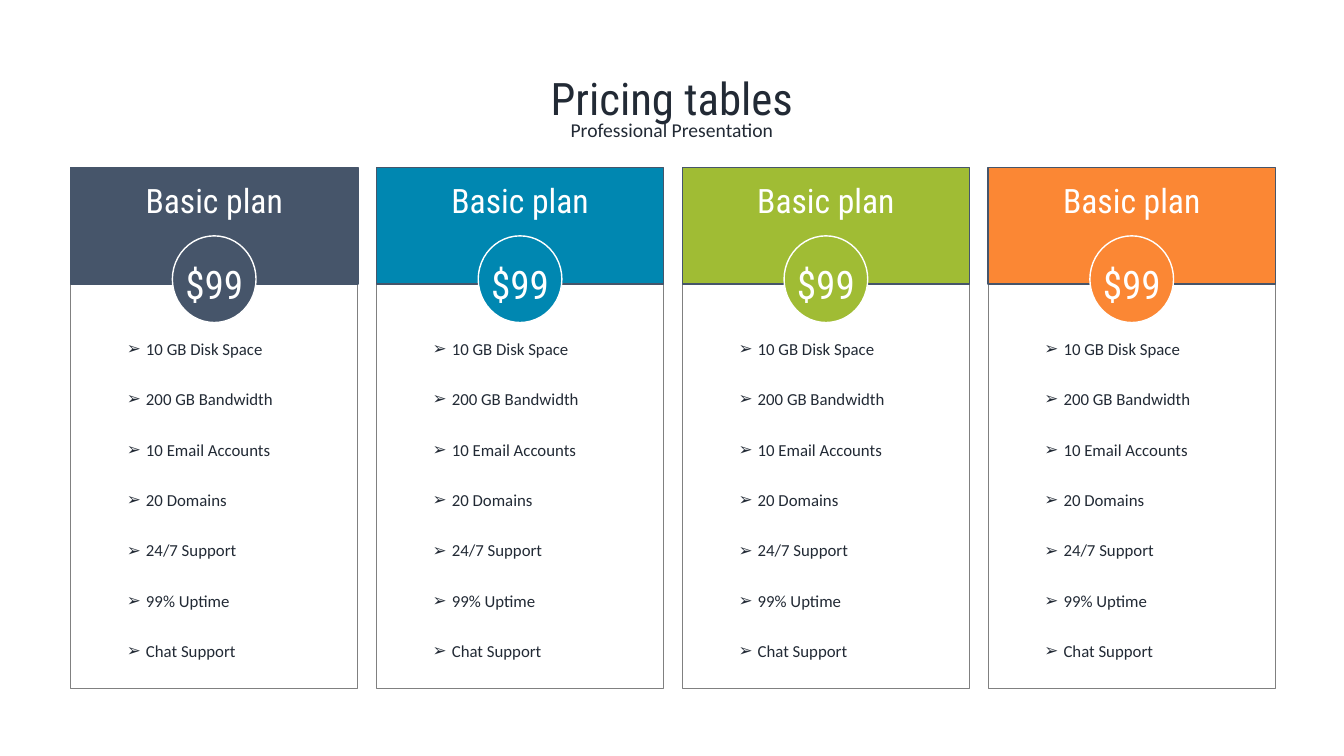
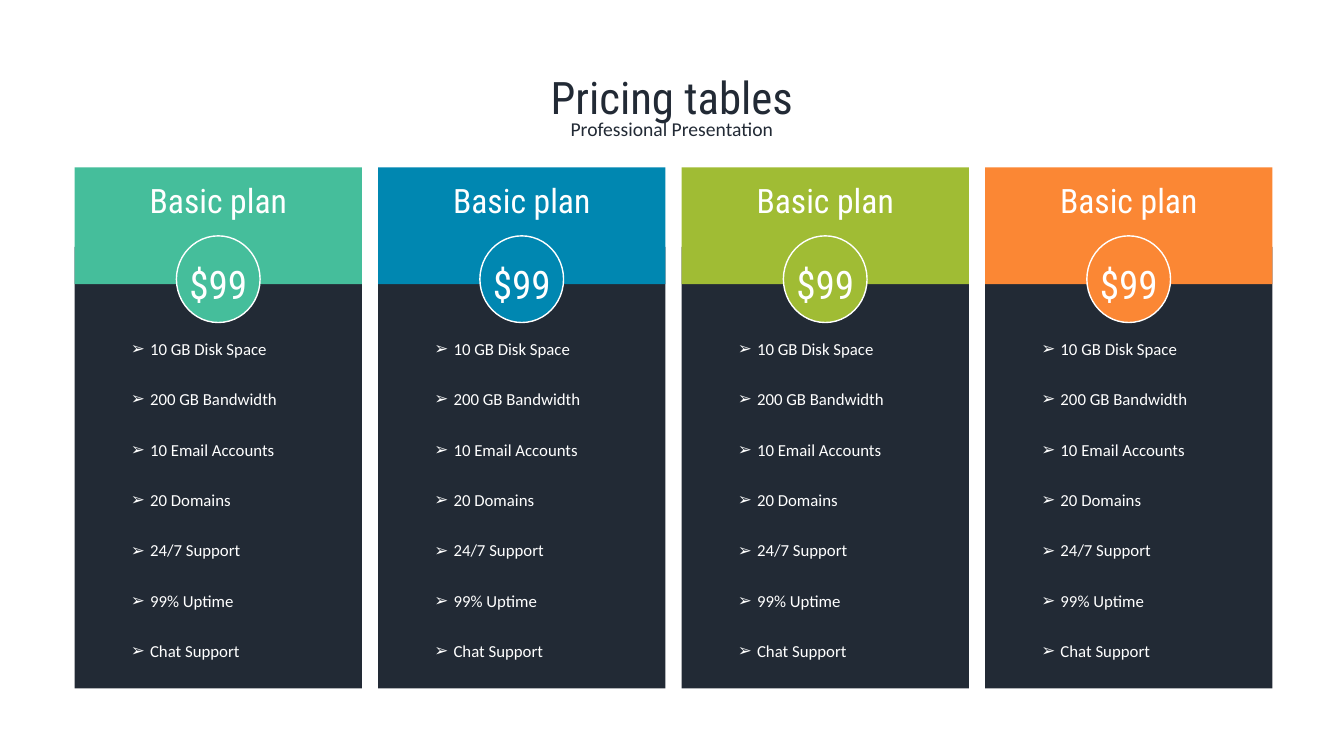
"""Build two pricing table slides, one with outlined cards and one with dark cards."""
from dataclasses import dataclass
from typing import Optional

import pptx
import pptx.dml.color
import pptx.enum.shapes
import pptx.enum.text
import pptx.oxml.ns
import pptx.util
from lxml import etree
from pptx.util import Inches

COLORS = {
    "dark": "222A35",
    "white": "FFFFFF",
    "slate": "46556A",
    "green": "45BE9B",
    "blue": "0087B1",
    "lime": "A0BC34",
    "orange": "FB8734",
    "gray": "808080",
}
HEADING_FONT = "Roboto Condensed"
BODY_FONT = "Calibri"
FEATURES = [
    "10 GB Disk Space",
    "200 GB Bandwidth",
    "10 Email Accounts",
    "20 Domains",
    "24/7 Support",
    "99% Uptime",
    "Chat Support",
]
CARD_WIDTH = 2.85
RECTANGLE = pptx.enum.shapes.MSO_SHAPE.RECTANGLE
OVAL = pptx.enum.shapes.MSO_SHAPE.OVAL


@dataclass(frozen=True)
class Box:
    left: float
    top: float
    width: float
    height: float

    def lengths(self) -> list[int]:
        return [Inches(value) for value in (self.left, self.top, self.width, self.height)]


@dataclass(frozen=True)
class TextStyle:
    font: str
    size: int
    color: str
    centered: bool = True


@dataclass(frozen=True)
class Outline:
    color: str
    width: float


@dataclass(frozen=True)
class PricingDesign:
    title_top: float
    first_left: float
    last_left: float
    card_colors: tuple[str, ...]
    panel_fill: Optional[str]
    panel_outline: Optional[Outline]
    header_outline: Optional[Outline]
    feature_color: str


DESIGNS = [
    PricingDesign(0.65, 0.7, 9.8, ("slate", "blue", "lime", "orange"),
                  None, Outline("gray", 0), Outline("slate", 1), "dark"),
    PricingDesign(0.64, 0.74, 9.77, ("green", "blue", "lime", "orange"),
                  "dark", None, None, "white"),
]


def rgb(name: str) -> pptx.dml.color.RGBColor:
    return pptx.dml.color.RGBColor.from_string(COLORS[name])


def write_text(shape, lines: list[str], style: TextStyle) -> None:
    frame = shape.text_frame
    frame.text = "\n".join(lines)
    frame.word_wrap = True
    frame.vertical_anchor = pptx.enum.text.MSO_ANCHOR.TOP
    frame.auto_size = pptx.enum.text.MSO_AUTO_SIZE.SHAPE_TO_FIT_TEXT
    alignment = pptx.enum.text.PP_ALIGN
    for paragraph in frame.paragraphs:
        paragraph.alignment = alignment.CENTER if style.centered else alignment.LEFT
        for run in paragraph.runs:
            run.font.name = style.font
            run.font.size = pptx.util.Pt(style.size)
            run.font.color.rgb = rgb(style.color)


def add_text(shapes, box: Box, lines: list[str], style: TextStyle):
    text_box = shapes.add_textbox(*box.lengths())
    write_text(text_box, lines, style)
    return text_box


def add_block(shapes, kind, box: Box, fill: Optional[str], outline: Optional[Outline]) -> None:
    shape = shapes.add_shape(kind, *box.lengths())
    shape.shadow.inherit = False
    if fill:
        shape.fill.solid()
        shape.fill.fore_color.rgb = rgb(fill)
    else:
        shape.fill.background()
    if outline:
        shape.line.color.rgb = rgb(outline.color)
        shape.line.width = pptx.util.Pt(outline.width)
    else:
        shape.line.fill.background()


def add_features(shapes, box: Box, color: str) -> None:
    text_box = add_text(shapes, box, FEATURES, TextStyle(BODY_FONT, 12, color, centered=False))
    for paragraph in text_box.text_frame.paragraphs:
        properties = paragraph._p.get_or_add_pPr()
        properties.set("marL", str(Inches(0.19)))
        properties.set("indent", str(-Inches(0.19)))
        etree.SubElement(properties, pptx.oxml.ns.qn("a:buFont"), typeface="Arial")
        etree.SubElement(properties, pptx.oxml.ns.qn("a:buChar"), char="➢")
        paragraph.line_spacing = 2.5


def add_card(slide, left: float, color: str, design: PricingDesign) -> None:
    shapes = slide.shapes.add_group_shape().shapes

    def centered_box(top: float, width: float, height: float) -> Box:
        return Box(left + (CARD_WIDTH - width) / 2, top, width, height)

    add_block(shapes, RECTANGLE, centered_box(2.45, CARD_WIDTH, 4.38),
              design.panel_fill, design.panel_outline)
    add_features(shapes, centered_box(3.01, 1.93, 3.64), design.feature_color)
    add_block(shapes, RECTANGLE, centered_box(1.66, CARD_WIDTH, 1.16),
              color, design.header_outline)
    add_text(shapes, centered_box(1.74, CARD_WIDTH, 0.5), ["Basic plan"],
             TextStyle(HEADING_FONT, 24, "white"))
    add_block(shapes, OVAL, centered_box(2.34, 0.83, 0.86), color, Outline("white", 1))
    add_text(shapes, centered_box(2.53, 1.62, 0.57), ["$99"],
             TextStyle(HEADING_FONT, 28, "white"))


def add_heading(slide, top: float) -> None:
    title = slide.shapes.title
    title.left, title.top, title.width, title.height = Box(0.88, top, 11.57, 0.64).lengths()
    write_text(title, ["Pricing tables"], TextStyle(HEADING_FONT, 32, "dark"))
    add_text(slide.shapes, Box(0.88, top + 0.47, 11.57, 0.34),
             ["Professional Presentation"], TextStyle(BODY_FONT, 14, "dark"))


def add_pricing_slide(presentation, design: PricingDesign) -> None:
    slide = presentation.slides.add_slide(presentation.slide_layouts[5])
    add_heading(slide, design.title_top)
    step = (design.last_left - design.first_left) / (len(design.card_colors) - 1)
    for index, color in enumerate(design.card_colors):
        add_card(slide, design.first_left + index * step, color, design)


def main() -> None:
    presentation = pptx.Presentation()
    presentation.slide_width = Inches(13.33)
    presentation.slide_height = Inches(7.5)
    for design in DESIGNS:
        add_pricing_slide(presentation, design)
    presentation.save("out.pptx")


if __name__ == "__main__":
    main()
